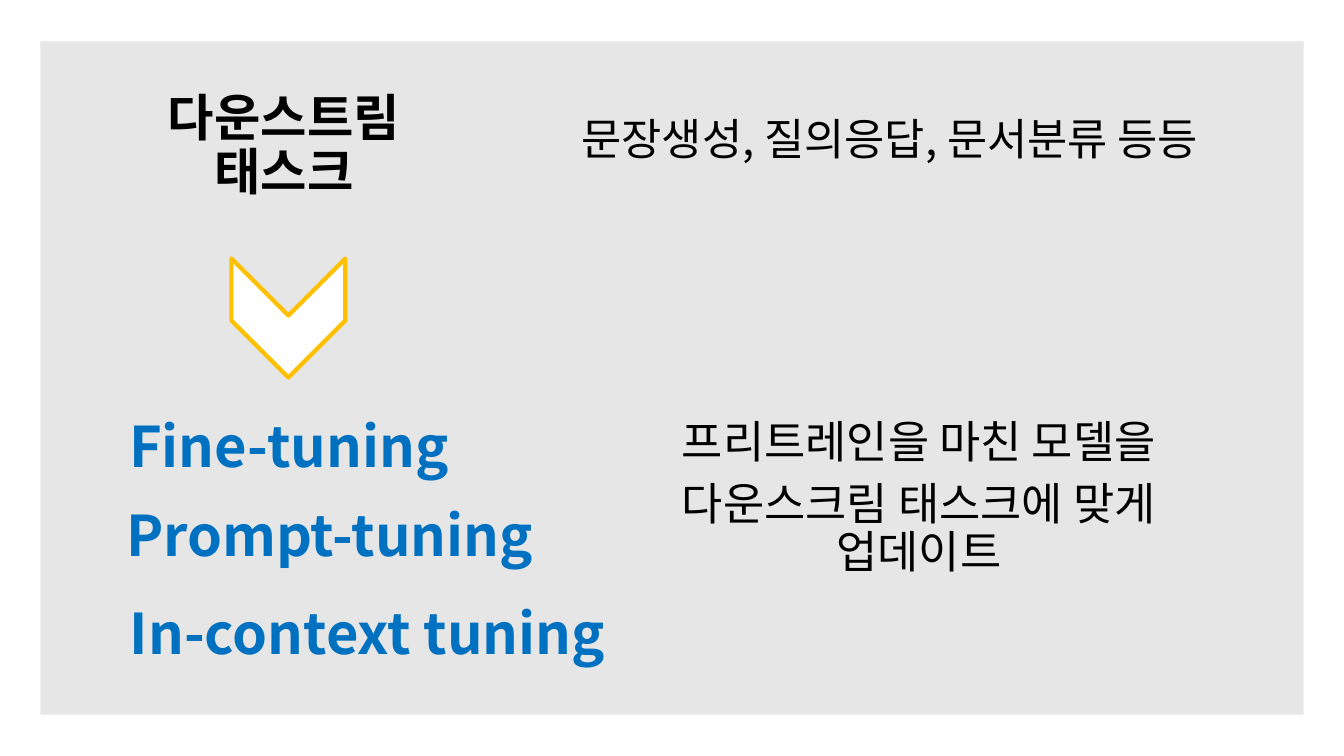
from dataclasses import dataclass

from lxml import etree
from pptx import Presentation
from pptx.dml.color import RGBColor
from pptx.enum.shapes import MSO_SHAPE
from pptx.enum.text import MSO_ANCHOR, MSO_AUTO_SIZE, PP_ALIGN
from pptx.oxml.ns import qn
from pptx.util import Inches, Pt

RECTANGLE = MSO_SHAPE.RECTANGLE
CHEVRON = MSO_SHAPE.CHEVRON
TOP = MSO_ANCHOR.TOP
BOTTOM = MSO_ANCHOR.BOTTOM
NO_AUTOFIT = MSO_AUTO_SIZE.NONE
CENTER = PP_ALIGN.CENTER


@dataclass(frozen=True)
class Theme:
    font: str = "Noto Sans CJK KR"
    black: RGBColor = RGBColor(0x00, 0x00, 0x00)
    white: RGBColor = RGBColor(0xFF, 0xFF, 0xFF)
    panel: RGBColor = RGBColor(0xE7, 0xE6, 0xE6)
    blue: RGBColor = RGBColor(0x00, 0x70, 0xC0)
    gold: RGBColor = RGBColor(0xFF, 0xC0, 0x00)
    title_size: float = 36
    body_size: float = 32
    tasks_size: float = 31.2
    method_size: float = 40
    outline: float = 3
    line_spacing: float = 0.9
    space_before: float = 10


THEME = Theme()


def place(shape, left, top, width, height):
    shape.left, shape.top = Inches(left), Inches(top)
    shape.width, shape.height = Inches(width), Inches(height)


def write(shape, text, size, color=THEME.black, bold=False, anchor=TOP):
    frame = shape.text_frame
    frame.text = text
    frame.word_wrap = True
    frame.auto_size = NO_AUTOFIT
    frame.vertical_anchor = anchor
    for paragraph in frame.paragraphs:
        paragraph.alignment = CENTER
        paragraph.line_spacing = THEME.line_spacing
        paragraph.space_before = Pt(THEME.space_before if anchor == TOP else 0)
        for run in paragraph.runs:
            run.font.name = THEME.font
            run.font.size = Pt(size)
            run.font.bold = bold
            run.font.color.rgb = color
            east_asian = etree.SubElement(run.font._element, qn("a:ea"))
            east_asian.set("typeface", THEME.font)


def add_text(slide, box, text, size, **style):
    shape = slide.shapes.add_textbox(*map(Inches, box))
    write(shape, text, size, **style)


def add_panel(slide):
    panel = slide.shapes.add_shape(RECTANGLE, *map(Inches, (0.4, 0.41, 12.53, 6.68)))
    panel.shadow.inherit = False
    panel.fill.solid()
    panel.fill.fore_color.rgb = THEME.panel
    panel.line.fill.background()
    slide.shapes._spTree.insert(2, panel._element)


def add_down_chevron(slide):
    chevron = slide.shapes.add_shape(CHEVRON, *map(Inches, (2.27, 2.59, 1.18, 1.13)))
    chevron.rotation = 90
    chevron.shadow.inherit = False
    chevron.fill.solid()
    chevron.fill.fore_color.rgb = THEME.white
    chevron.line.color.rgb = THEME.gold
    chevron.line.width = Pt(THEME.outline)


def main():
    presentation = Presentation()
    presentation.slide_width = Inches(13.33)
    presentation.slide_height = Inches(7.5)
    slide = presentation.slides.add_slide(presentation.slide_layouts[0])
    add_panel(slide)

    title, subtitle = slide.placeholders
    place(title, 1.02, 0.62, 3.59, 1.43)
    write(title, "다운스트림\v태스크", THEME.title_size, bold=True, anchor=BOTTOM)
    place(subtitle, 6.37, 4.11, 5.49, 1.75)
    write(subtitle, "프리트레인을 마친 모델을\n다운스크림 태스크에 맞게 업데이트", THEME.body_size)

    add_text(slide, (4.33, 0.26, 8.99, 1.43), "문장생성, 질의응답, 문서분류 등등",
             THEME.tasks_size, anchor=BOTTOM)
    add_down_chevron(slide)
    methods = (
        ("Fine-tuning", (1.11, 4.11, 3.51, 1.28)),
        ("Prompt-tuning", (0.97, 4.99, 4.6, 1.28)),
        ("In-context tuning", (1.02, 5.96, 5.25, 1.28)),
    )
    for name, box in methods:
        add_text(slide, box, name, THEME.method_size, color=THEME.blue, bold=True)

    presentation.save("out.pptx")


if __name__ == "__main__":
    main()
